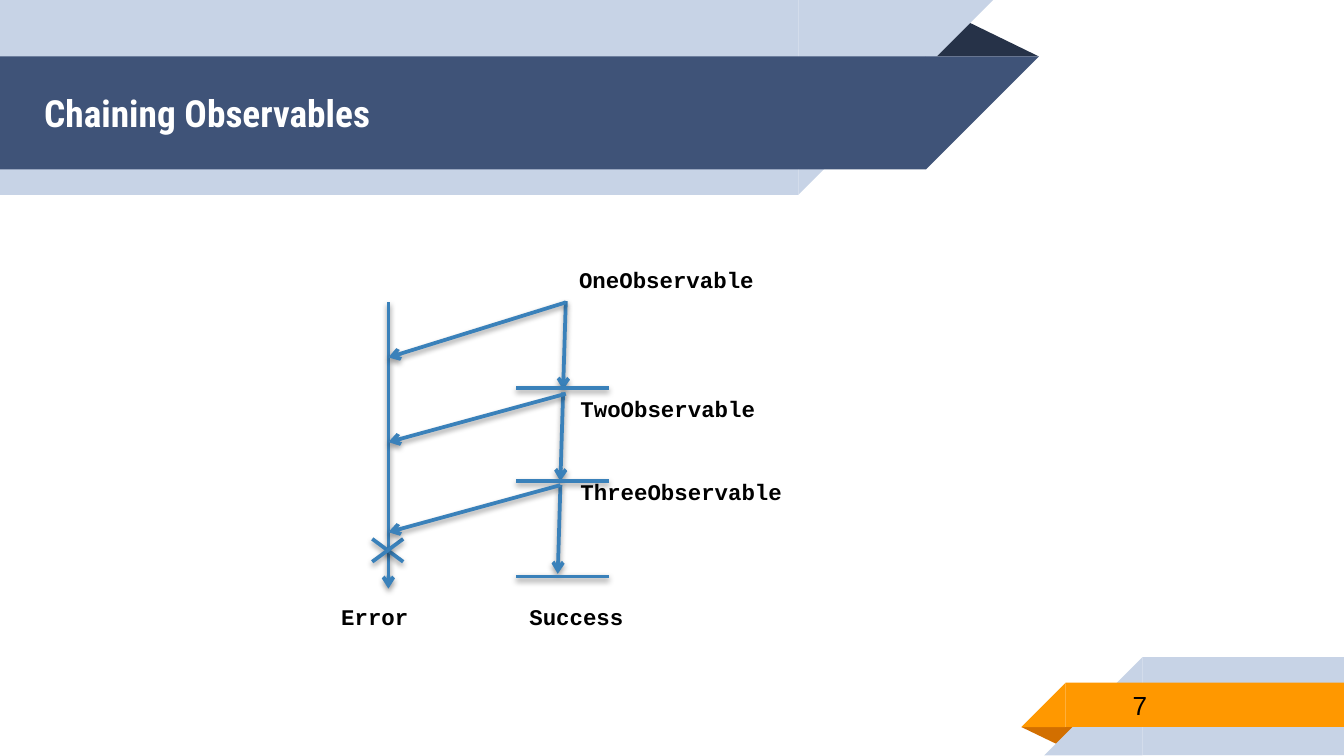
from lxml.etree import SubElement
from pptx import Presentation
from pptx.dml.color import RGBColor
from pptx.enum.shapes import MSO_CONNECTOR, MSO_SHAPE as Preset
from pptx.enum.text import MSO_ANCHOR as Anchor, MSO_AUTO_SIZE as AutoSize
from pptx.oxml.ns import qn
from pptx.util import Inches, Pt

COLORS = {
    "pale": "C7D3E6", "navy": "3F5378", "dark": "263248",
    "orange": "FF9800", "rust": "D26F00", "line": "3A81BA",
    "white": "FFFFFF", "black": "000000",
}


def rgb(name):
    """Return the named colour."""
    return RGBColor.from_string(COLORS[name])


class Canvas:
    """Holds the slide and draws styled elements on it."""

    def __init__(self, slide):
        """Keep the slide to draw on."""
        self.shapes = slide.shapes

    def block(self, preset, box, color, rotation=0):
        """Add a flat filled shape."""
        shape = self.shapes.add_shape(preset, *map(Inches, box))
        shape.shadow.inherit = False
        shape.fill.solid()
        shape.fill.fore_color.rgb = rgb(color)
        shape.line.fill.background()
        shape.rotation = rotation
        return shape

    def fold(self, box, rotation=0):
        """Add the shaded triangle behind a ribbon's tip."""
        color = "rust" if rotation else "dark"
        shape = self.block(Preset.ISOSCELES_TRIANGLE, box, color, rotation)
        shape.adjustments[0] = 0.324

    def ribbon(self, left, top, width, height, color, slant_left=False):
        """Add a bar that ends in a 45 degree slant outside its box."""
        self.block(Preset.RECTANGLE, (left, top, width, height), color)
        tip = left - height if slant_left else left + width
        self.block(Preset.RIGHT_TRIANGLE, (tip, top, height, height), color,
                   270 if slant_left else 90)

    def line(self, start, end, arrow=False):
        """Add a shadowed line, with an arrowhead at its end if asked."""
        connector = self.shapes.add_connector(
            MSO_CONNECTOR.STRAIGHT, *map(Inches, start + end))
        connector.line.color.rgb = rgb("line")
        connector.line.width = Pt(2)
        if arrow:
            SubElement(connector.line._get_or_add_ln(), qn("a:tailEnd"), type="arrow")
        effects = SubElement(connector._element.spPr, qn("a:effectLst"))
        shadow = SubElement(effects, qn("a:outerShdw"), blurRad=str(Pt(3.1)),
                            dist=str(Pt(1.6)), dir="5400000", rotWithShape="0")
        tint = SubElement(shadow, qn("a:srgbClr"), val=COLORS["black"])
        SubElement(tint, qn("a:alpha"), val="38000")

    def text(self, words, box, size, font, color="black", bold=False):
        """Add a wrapped text box centred vertically."""
        holder = self.shapes.add_textbox(*map(Inches, box))
        frame = holder.text_frame
        frame.word_wrap = True
        frame.vertical_anchor = Anchor.MIDDLE
        frame.margin_top = frame.margin_bottom = Inches(0.1)
        frame.margin_left = frame.margin_right = Inches(0.1)
        paragraph = frame.paragraphs[0]
        paragraph.text = words
        paragraph.font.size = Pt(size)
        paragraph.font.name = font
        paragraph.font.bold = bold
        paragraph.font.color.rgb = rgb(color)
        return frame

    def label(self, words, left, top, width):
        """Add a bold code label that grows with its text."""
        frame = self.text(words, (left, top, width, 0.3), 12, "Courier New", bold=True)
        frame.word_wrap = False
        frame.auto_size = AutoSize.SHAPE_TO_FIT_TEXT
        frame.vertical_anchor = Anchor.TOP
        frame.margin_top = frame.margin_bottom = Inches(0.05)


def draw_frame(canvas):
    """Draw the header and footer ribbons with their text."""
    canvas.fold((6.88, 0.14, 0.85, 0.28))
    canvas.ribbon(0, 0, 5.94, 1.45, "pale")
    canvas.ribbon(0, 0.42, 6.89, 0.84, "navy")
    canvas.fold((7.6, 5.41, 0.43, 0.14), 180)
    canvas.ribbon(8.5, 4.89, 1.5, 0.73, "pale", slant_left=True)
    canvas.ribbon(7.93, 5.08, 2.07, 0.33, "orange", slant_left=True)
    canvas.text("Chaining Observables", (0.23, 0.42, 5.75, 0.84), 20,
                "Roboto Condensed", "white", bold=True)
    canvas.text("7", (8.33, 5.07, 1.63, 0.35), 14, "Arial")


def draw_chain(canvas):
    """Draw the error and success tracks and the steps between them."""
    error_x = 2.89
    canvas.line((error_x, 2.25), (error_x, 4.38), arrow=True)
    for y1, y2 in ((4.01, 4.18), (4.18, 4.01)):
        canvas.line((2.77, y1), (3, y2))

    # step: success start and end, failure start, error height, finish bar
    steps = (
        ((4.21, 2.24), (4.19, 2.9), (4.21, 2.25), 2.66, 2.89),
        ((4.19, 2.92), (4.17, 3.58), (4.21, 2.93), 3.29, 3.58),
        ((4.17, 3.61), (4.15, 4.27), (4.17, 3.61), 3.96, 4.29),
    )
    for start, end, failure, error_y, bar_y in steps:
        canvas.line(start, end, arrow=True)
        canvas.line(failure, (error_x, error_y), arrow=True)
        canvas.line((3.84, bar_y), (4.53, bar_y))

    for label in (
        ("OneObservable", 4.21, 1.93, 1.51),
        ("TwoObservable", 4.22, 2.89, 1.51),
        ("ThreeObservable", 4.22, 3.51, 1.72),
        ("Success", 3.84, 4.44, 0.91),
        ("Error", 2.44, 4.44, 0.72),
    ):
        canvas.label(*label)


deck = Presentation()
deck.slide_width = Inches(10)
deck.slide_height = deck.slide_width * 9 // 16
chain_slide = Canvas(deck.slides.add_slide(deck.slide_layouts[6]))
draw_frame(chain_slide)
draw_chain(chain_slide)
deck.save("out.pptx")
